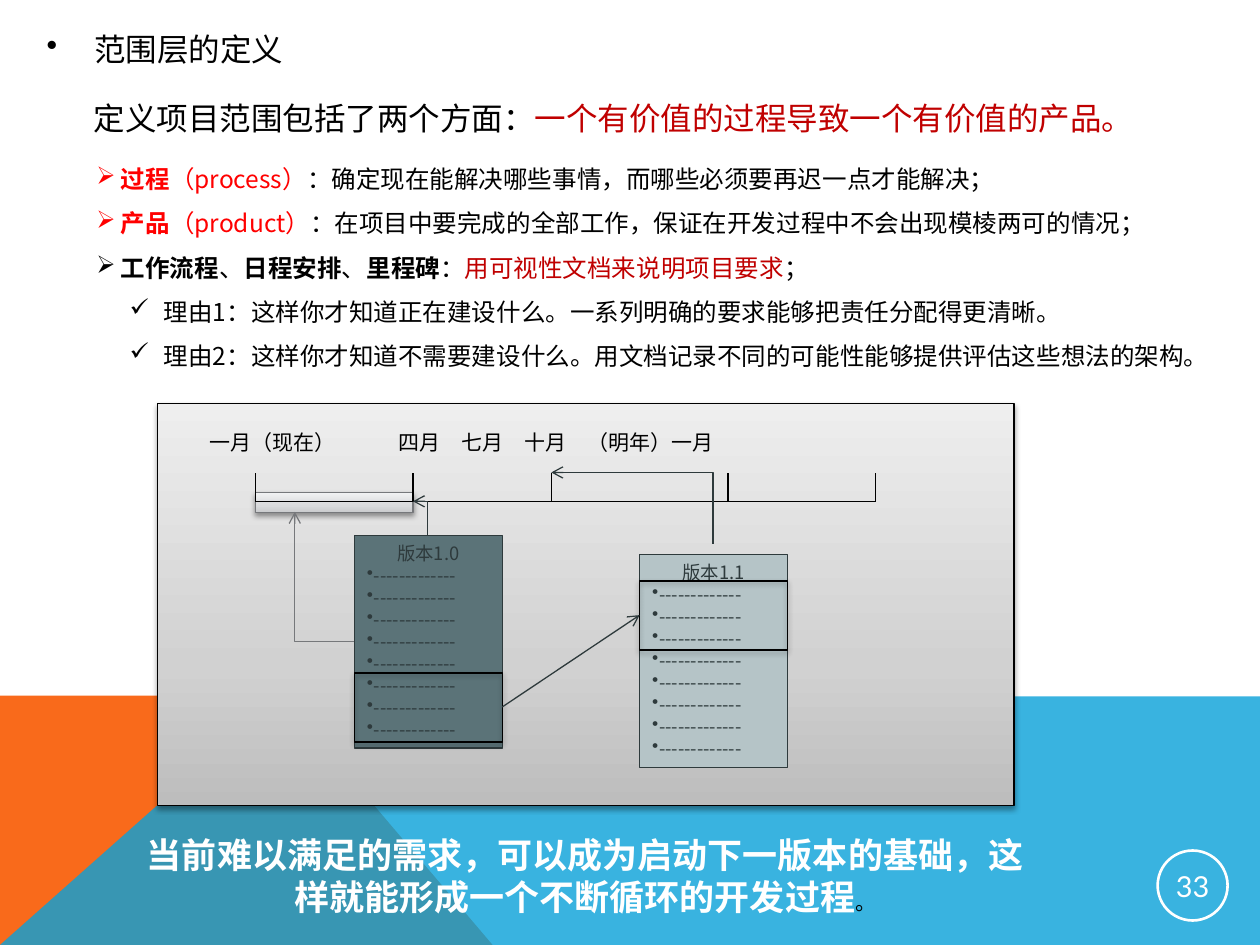
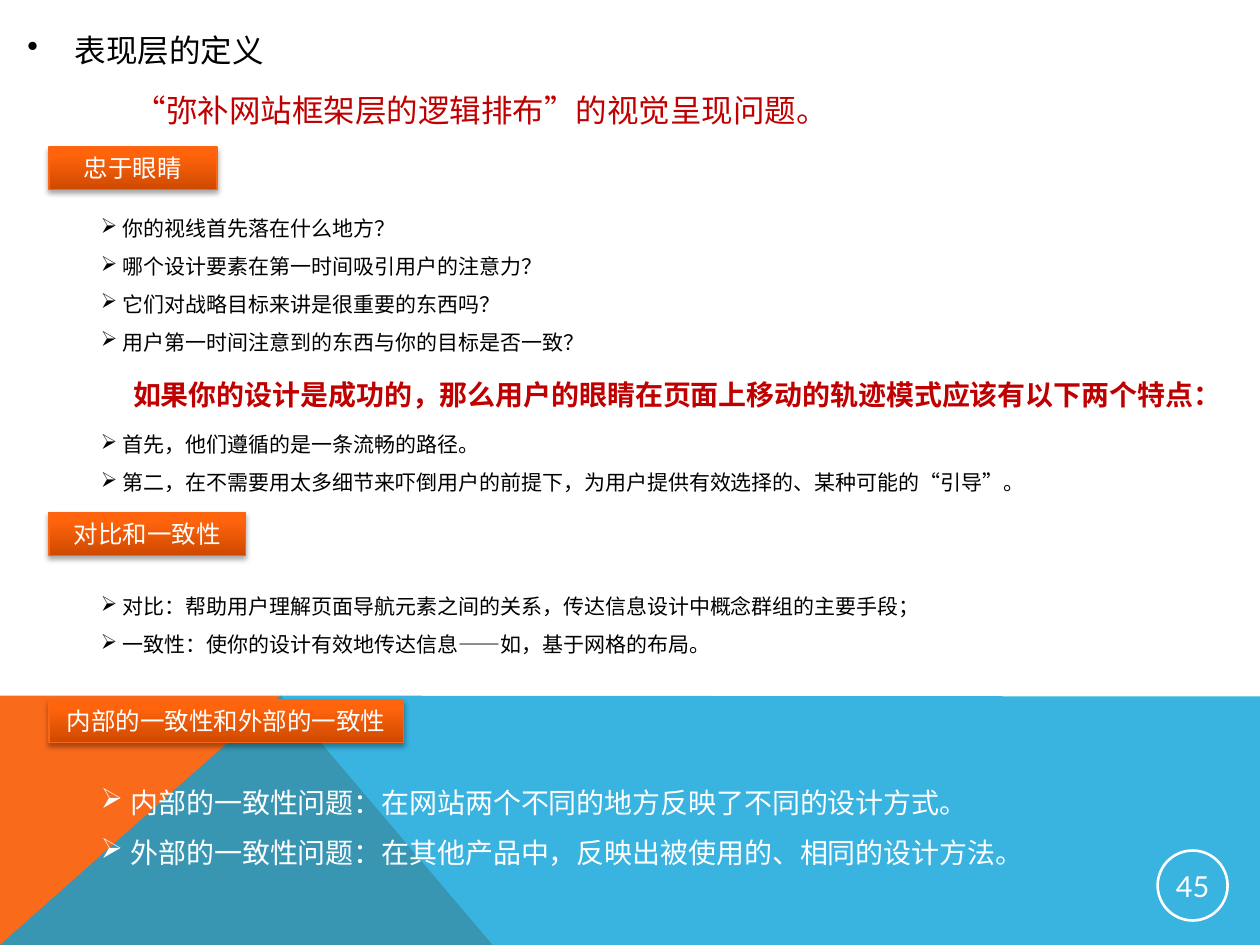
from dataclasses import dataclass
from typing import Optional

from lxml.etree import SubElement
from pptx import Presentation
from pptx.dml.color import RGBColor
from pptx.enum.shapes import MSO_CONNECTOR as Link, MSO_SHAPE as Preset
from pptx.enum.text import MSO_ANCHOR as Anchor, PP_ALIGN as Align
from pptx.oxml.ns import qn
from pptx.util import Pt


@dataclass(frozen=True)
class Theme:
    font: str = "Noto Sans CJK SC"
    number_font: str = "Lato"
    black: str = "000000"
    white: str = "FFFFFF"
    red: str = "FF0000"
    crimson: str = "C00000"
    orange: str = "F96A1B"
    blue: str = "08A1D9"
    slate: str = "2E3A3C"
    gray: str = "76787B"
    label_edge: str = "F96615"
    old_version: str = "5B7378"
    new_version: str = "B5C4C7"
    panel_stops: tuple = ((0, "BDBDBD"), (35, "D1D1D1"), (100, "EEEEEE"))
    span_stops: tuple = ((0, "C9CBCD"), (35, "D9DADC"), (100, "F0F1F2"))
    label_stops: tuple = ((0, "CE4900"), (80, "FF630C"), (100, "FF640E"))
    heading: float = 18
    closing: float = 20
    strong: float = 16
    body: float = 14
    small: float = 12
    tiny: float = 10.5
    number: float = 16.5
    leading: float = 1.2
    loose: float = 1.5
    hairline: float = 0.75


THEME = Theme()


@dataclass(frozen=True)
class Box:
    left: float
    top: float
    width: float
    height: float

    def lengths(self) -> tuple:
        return Pt(self.left), Pt(self.top), Pt(self.width), Pt(self.height)


@dataclass(frozen=True)
class Piece:
    text: str
    color: str = THEME.black
    bold: bool = False
    size: Optional[float] = None


@dataclass(frozen=True)
class Line:
    pieces: tuple
    size: float
    bullet: str = ""
    margin: float = 0
    hang: float = 0
    align: Align = Align.LEFT
    spacing: float = THEME.loose
    tabs: tuple = ()


@dataclass(frozen=True)
class Version:
    name: str
    box: Box
    fill: str
    frame_top: float


@dataclass(frozen=True)
class Section:
    label: str
    label_box: Box


# Text helpers

def write_line(paragraph, line: Line) -> None:
    props = paragraph._p.get_or_add_pPr()
    props.set("marL", str(Pt(line.margin)))
    props.set("indent", str(Pt(-line.hang)))
    if line.bullet:
        SubElement(props, qn("a:buChar"), char=line.bullet)
    if line.tabs:
        stops = SubElement(props, qn("a:tabLst"))
        for stop in line.tabs:
            SubElement(stops, qn("a:tab"), pos=str(Pt(stop)), algn="l")
    paragraph.alignment = line.align
    paragraph.line_spacing = Pt(line.size * THEME.leading * line.spacing)
    for piece in line.pieces:
        run = paragraph.add_run()
        run.text = piece.text
        font = run.font
        font.name, font.bold = THEME.font, piece.bold
        font.size = Pt(piece.size or line.size)
        font.color.rgb = RGBColor.from_string(piece.color)
        SubElement(run._r.get_or_add_rPr(), qn("a:ea"), typeface=THEME.font)


def write_lines(frame, lines: list) -> None:
    frame.word_wrap = True
    frame.vertical_anchor = Anchor.TOP
    for index, line in enumerate(lines):
        write_line(frame.add_paragraph() if index else frame.paragraphs[0], line)


def add_text(slide, box: Box, lines: list) -> None:
    write_lines(slide.shapes.add_textbox(*box.lengths()).text_frame, lines)


def arrow_list(texts: list, size: float, hang: float, color: str = THEME.black) -> list:
    return [Line((Piece(text, color),), size, "➢", hang, hang) for text in texts]


# Shape helpers

def add_shadow(shape, opacity: int, distance: float) -> None:
    effects = shape.element.spPr.find(qn("a:effectLst"))
    shadow = SubElement(effects, qn("a:outerShdw"), blurRad=str(Pt(3.1)),
                        dist=str(Pt(distance)), dir="5400000", rotWithShape="0")
    color = SubElement(shadow, qn("a:srgbClr"), val=THEME.black)
    SubElement(color, qn("a:alpha"), val=str(opacity * 1000))


def fill_gradient(shape, stops: tuple) -> None:
    shape.fill.gradient()
    shape.fill.gradient_angle = 90
    stop_list = shape.element.spPr.find(qn("a:gradFill")).find(qn("a:gsLst"))
    for old_stop in list(stop_list):
        stop_list.remove(old_stop)
    for position, color in stops:
        stop = SubElement(stop_list, qn("a:gs"), pos=str(position * 1000))
        SubElement(stop, qn("a:srgbClr"), val=color)


def add_block(slide, box: Box, edge: str, fill=None, preset=Preset.RECTANGLE,
              weight: float = THEME.hairline):
    shape = slide.shapes.add_shape(preset, *box.lengths())
    shape.shadow.inherit = False
    if fill is None:
        shape.fill.background()
    elif isinstance(fill, tuple):
        fill_gradient(shape, fill)
    else:
        shape.fill.solid()
        shape.fill.fore_color.rgb = RGBColor.from_string(fill)
    shape.line.color.rgb = RGBColor.from_string(edge)
    shape.line.width = Pt(weight)
    return shape


def add_link(slide, start: tuple, end: tuple, color: str = THEME.black,
             bent: bool = False, arrow: str = "") -> None:
    """Bent links run across first, then up or down; arrow is headEnd or tailEnd."""
    kind = Link.ELBOW if bent else Link.STRAIGHT
    link = slide.shapes.add_connector(kind, *map(Pt, start + end))
    link.line.color.rgb = RGBColor.from_string(color)
    link.line.width = Pt(THEME.hairline)
    props = link.element.spPr
    if bent:
        props.find(qn("a:prstGeom")).set("prst", "bentConnector2")
    if arrow:
        SubElement(props.find(qn("a:ln")), qn(f"a:{arrow}"), type="arrow")
    SubElement(props, qn("a:effectLst"))


# Parts shared by both slides

def add_band(slide, corners: list, color: str, opacity: int = 100) -> None:
    points = [(Pt(x), Pt(y)) for x, y in corners]
    builder = slide.shapes.build_freeform(*points[0])
    builder.add_line_segments(points[1:], close=True)
    band = builder.convert_to_shape()
    band.shadow.inherit = False
    band.fill.solid()
    band.fill.fore_color.rgb = RGBColor.from_string(color)
    band.line.fill.background()
    if opacity < 100:
        tint = band.element.spPr.find(qn("a:solidFill"))[0]
        SubElement(tint, qn("a:alpha"), val=str(opacity * 1000))


def start_slide(deck, heading: str, box: Box, number: str):
    slide = deck.slides.add_slide(deck.slide_layouts[5])
    add_band(slide, [(0, 540), (0, 397.5), (160.5, 397.5), (281.5, 540)], THEME.orange)
    add_band(slide, [(0, 540), (160.5, 397.5), (720, 398), (720, 540)], THEME.blue, 80)

    badge = add_block(slide, Box(661.5, 486, 40, 40), THEME.white,
                      preset=Preset.OVAL, weight=1.5)
    frame = badge.text_frame
    frame.margin_left = frame.margin_right = frame.margin_top = frame.margin_bottom = Pt(1)
    frame.vertical_anchor = Anchor.MIDDLE
    frame.text = number
    frame.paragraphs[0].alignment = Align.CENTER
    font = frame.paragraphs[0].runs[0].font
    font.name, font.size = THEME.number_font, Pt(THEME.number)
    font.color.rgb = RGBColor.from_string(THEME.white)

    title = slide.shapes.title
    title.left, title.top, title.width, title.height = box.lengths()
    write_lines(title.text_frame, [Line((Piece(heading),), THEME.heading, "•", 27, 27)])
    return slide


# Slide on the scope layer

def add_version(slide, version: Version) -> None:
    sheet = add_block(slide, version.box, THEME.slate, version.fill)
    name = Line((Piece(version.name, THEME.slate),), THEME.tiny,
                align=Align.CENTER, spacing=1)
    item = Line((Piece("-" * 13, THEME.slate),), THEME.tiny, "•", 4, 4, spacing=1)
    write_lines(sheet.text_frame, [name] + [item] * 8)
    frame = add_block(slide, Box(version.box.left, version.frame_top, version.box.width, 39.5),
                      THEME.black)
    add_shadow(frame, 38, 1.6)


def add_roadmap(slide) -> None:
    add_shadow(add_block(slide, Box(90, 230.5, 489.5, 230), THEME.black,
                         THEME.panel_stops), 38, 1.6)
    add_shadow(add_block(slide, Box(146, 281.5, 90, 11.5), THEME.gray,
                         THEME.span_stops), 38, 1.6)

    # Time axis with its month marks
    axis_y, mark_y = 286.5, 270
    marks = (146, 236, 315, 416, 500.5)
    add_link(slide, (marks[0], axis_y), (marks[-1], axis_y))
    for mark in marks:
        add_link(slide, (mark, axis_y), (mark, mark_y))
    months = "\t".join(["一月（现在）", "四月", "七月", "十月", "（明年）一月"])
    add_text(slide, Box(112.5, 242, 478, 21.5),
             [Line((Piece(months),), THEME.small, spacing=1, tabs=(95.5, 165, 245.5, 291.5))])

    # Versions and the arrows between them
    add_version(slide, Version("版本1.0", Box(202.5, 306, 84.5, 121.5), THEME.old_version, 384.5))
    add_version(slide, Version("版本1.1", Box(365.5, 317, 84.5, 121.5), THEME.new_version, 332))
    add_link(slide, (202.5, 366.5), (168.5, 292.5), THEME.gray, bent=True, arrow="tailEnd")
    add_link(slide, (236, axis_y), (244.5, 306), THEME.slate, bent=True, arrow="headEnd")
    add_link(slide, (287, 404), (365.5, 351.5), THEME.slate, arrow="tailEnd")
    add_link(slide, (315, mark_y), (407.5, 311), THEME.slate, bent=True, arrow="headEnd")


def build_scope(deck) -> None:
    slide = start_slide(deck, "范围层的定义", Box(19.5, 3, 200, 39.5), "33")
    add_roadmap(slide)
    add_text(slide, Box(46.5, 42.5, 660, 40), [Line((
        Piece("定义项目范围包括了两个方面："),
        Piece("一个有价值的过程导致一个有价值的产品。", THEME.crimson)), THEME.heading)])

    terms = [
        (Piece("过程", THEME.red, True), Piece("（process）", THEME.red),
         Piece("：确定现在能解决哪些事情，而哪些必须要再迟一点才能解决；")),
        (Piece("产品", THEME.red, True), Piece("（product）", THEME.red),
         Piece("：在项目中要完成的全部工作，保证在开发过程中不会出现模棱两可的情况；")),
        (Piece("工作流程", bold=True), Piece("、"), Piece("日程安排", bold=True), Piece("、"),
         Piece("里程碑", bold=True), Piece("："),
         Piece("用可视性文档来说明项目要求", THEME.crimson), Piece("；")),
    ]
    reasons = [
        "理由1：这样你才知道正在建设什么。一系列明确的要求能够把责任分配得更清晰。",
        "理由2：这样你才知道不需要建设什么。用文档记录不同的可能性能够提供评估这些想法的架构。",
    ]
    add_text(slide, Box(48, 82, 665, 133),
             [Line(term, THEME.body, "➢", 14, 14) for term in terms]
             + [Line((Piece(reason),), THEME.body, "✓", 38.5, 19.5) for reason in reasons])

    add_text(slide, Box(67.5, 473, 534, 55.5), [Line((
        Piece("当前难以满足的需求，可以成为启动下一版本的基础，这样就能形成一个不断循环的开发过程",
              THEME.white, True),
        Piece("。", size=THEME.small)), THEME.closing, align=Align.CENTER, spacing=1)])


# Slide on the surface layer

def add_section(slide, section: Section) -> None:
    label = add_block(slide, section.label_box, THEME.label_edge, THEME.label_stops)
    add_shadow(label, 35, 1.8)
    write_lines(label.text_frame, [Line((Piece(section.label, THEME.white),), THEME.body,
                                        align=Align.CENTER, spacing=1)])


def build_surface(deck) -> None:
    slide = start_slide(deck, "表现层的定义", Box(8.5, 3.5, 200, 40), "45")
    add_text(slide, Box(70, 37.5, 592, 40), [Line((
        Piece("“弥补网站框架层的逻辑排布”的视觉呈现问题。", THEME.crimson),), THEME.heading)])

    for section in (Section("忠于眼睛", Box(28, 84, 96, 24.5)),
                    Section("对比和一致性", Box(28, 293, 112.5, 24.5)),
                    Section("内部的一致性和外部的一致性", Box(28, 400, 202.5, 24.5))):
        add_section(slide, section)

    add_text(slide, Box(50.5, 112.5, 650, 94), arrow_list([
        "你的视线首先落在什么地方？",
        "哪个设计要素在第一时间吸引用户的注意力？",
        "它们对战略目标来讲是很重要的东西吗？",
        "用户第一时间注意到的东西与你的目标是否一致？"], THEME.small, 12.5))
    add_text(slide, Box(69, 202.5, 651, 33), [Line((
        Piece("如果你的设计是成功的，那么用户的眼睛在页面上移动的轨迹模式应该有以下两个特点：",
              THEME.crimson, True),), THEME.strong)])
    add_text(slide, Box(50.5, 236, 600, 51), arrow_list([
        "首先，他们遵循的是一条流畅的路径。",
        "第二，在不需要用太多细节来吓倒用户的前提下，为用户提供有效选择的、某种可能的“引导”。"],
        THEME.small, 12.5))
    add_text(slide, Box(50.5, 328.5, 638, 51), arrow_list([
        "对比：帮助用户理解页面导航元素之间的关系，传达信息设计中概念群组的主要手段；",
        "一致性：使你的设计有效地传达信息——如，基于网格的布局。"], THEME.small, 12.5))
    add_text(slide, Box(50.5, 435.5, 627, 65.5), arrow_list([
        "内部的一致性问题：在网站两个不同的地方反映了不同的设计方式。",
        "外部的一致性问题：在其他产品中，反映出被使用的、相同的设计方法。"],
        THEME.strong, 17, THEME.white))


def main() -> None:
    deck = Presentation()
    deck.slide_width, deck.slide_height = Pt(720), Pt(540)
    build_scope(deck)
    build_surface(deck)
    deck.save("out.pptx")


if __name__ == "__main__":
    main()
